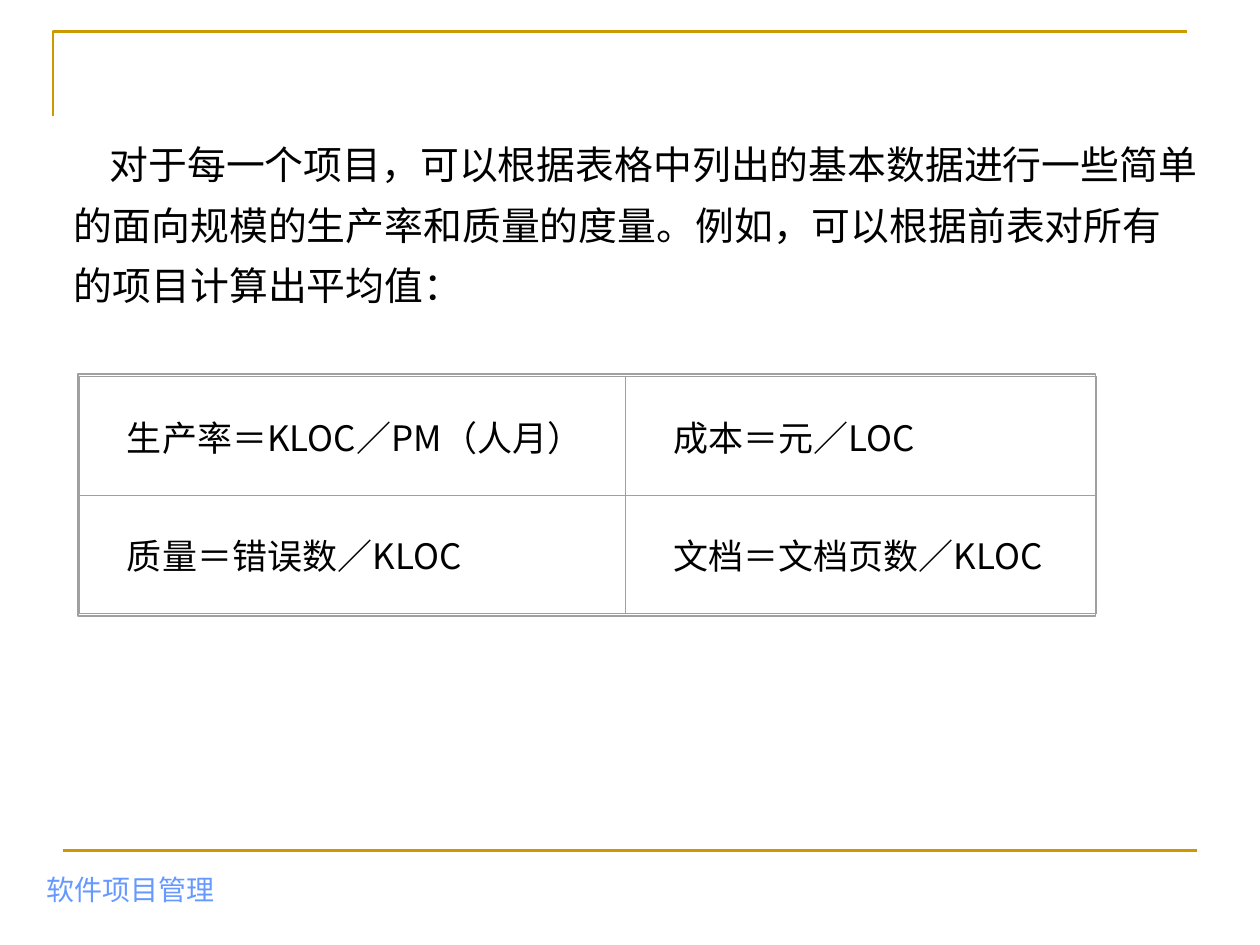
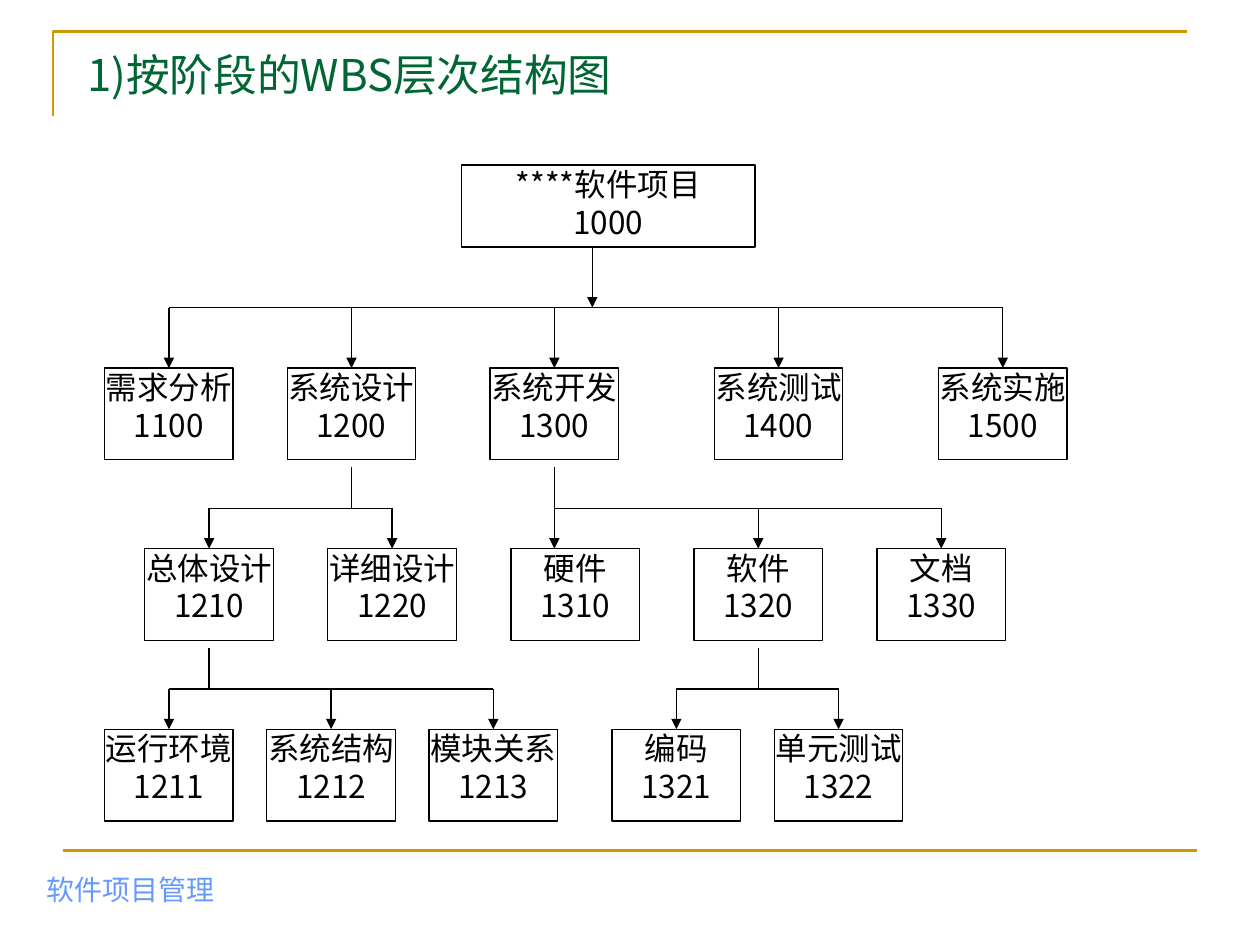
from pptx import Presentation
from pptx.dml.color import RGBColor
from pptx.enum.shapes import MSO_CONNECTOR as Link, MSO_SHAPE as Preset
from pptx.enum.text import MSO_ANCHOR as Anchor, MSO_AUTO_SIZE as AutoSize, PP_ALIGN as Align
from pptx.oxml import parse_xml
from pptx.oxml.ns import nsdecls, qn
from pptx.util import Cm, Pt

COLOURS = {"gold": "CC9900", "footer": "6699FF", "title": "006633",
           "ink": "000000", "paper": "FFFFFF", "grid": "A0A0A0"}
RGB = {name: RGBColor.from_string(value) for name, value in COLOURS.items()}
SANS, SERIF = "Noto Sans CJK SC", "Times New Roman"


def style(frame, size, colour="ink", font=SANS):
    for paragraph in frame.paragraphs:
        for run in paragraph.runs:
            run.font.size = Pt(size)
            run.font.color.rgb = RGB[colour]
            run.font.name = font
            east_asian = run.font._element.get_or_add_latin()
            east_asian.addnext(parse_xml(f'<a:ea {nsdecls("a")} typeface="{SANS}"/>'))


def add_line(slide, x1, y1, x2, y2, colour="ink", width=0.75, arrow=False):
    line = slide.shapes.add_connector(Link.STRAIGHT, Cm(x1), Cm(y1), Cm(x2), Cm(y2))
    line.line.color.rgb = RGB[colour]
    line.line.width = Pt(width)
    if arrow:
        line.line._get_or_add_ln().append(
            parse_xml(f'<a:tailEnd {nsdecls("a")} type="triangle"/>'))
    line._element.spPr.append(parse_xml(f'<a:effectLst {nsdecls("a")}/>'))
    return line


prs = Presentation()
prs.slide_width, prs.slide_height = Cm(25.4), Cm(19.05)
metrics = prs.slides.add_slide(prs.slide_layouts[6])
wbs = prs.slides.add_slide(prs.slide_layouts[5])

# Shared corner, bottom rule and footer
for slide in (metrics, wbs):
    outline = slide.shapes.build_freeform(Cm(1.07), Cm(2.34))
    outline.add_line_segments([(Cm(1.07), Cm(0.64)), (Cm(23.93), Cm(0.64))], close=False)
    corner = outline.convert_to_shape()
    corner.shadow.inherit = False
    corner.fill.background()
    corner.line.color.rgb = RGB["gold"]
    corner.line.width = Pt(1.5)

    add_line(slide, 1.27, 17.15, 24.13, 17.15, "gold", 1.5)

    footer = slide.shapes.add_textbox(Cm(0.69), Cm(17.12), Cm(10), Cm(1.27)).text_frame
    footer.word_wrap = True
    footer.vertical_anchor = Anchor.BOTTOM
    footer.text = "软件项目管理"
    style(footer, 16, "footer", SERIF)

# Slide 1: introduction
intro = metrics.shapes.add_textbox(Cm(1.24), Cm(2.27), Cm(23.16), Cm(4.24)).text_frame
intro.word_wrap = True
intro.vertical_anchor = Anchor.MIDDLE
intro.text = ("对于每一个项目，可以根据表格中列出的基本数据进行一些简单的面向规模的生产率和质量的度量。"
              "例如，可以根据前表对所有的项目计算出平均值：")
intro.paragraphs[0].line_spacing = 1.3
intro.paragraphs[0]._p.get_or_add_pPr().set("indent", str(Cm(0.72)))
style(intro, 22.2)

# Slide 1: formulas with a surrounding frame
FORMULAS = [["生产率＝KLOC／PM（人月）", "成本＝元／LOC"],
            ["质量＝错误数／KLOC", "文档＝文档页数／KLOC"]]
formulas = metrics.shapes.add_table(2, 2, Cm(1.6), Cm(7.59), Cm(20.51), Cm(4.78)).table
formulas.first_row = formulas.horz_banding = False
for column, width in zip(formulas.columns, (11.01, 9.5)):
    column.width = Cm(width)
for r, row in enumerate(FORMULAS):
    formulas.rows[r].height = Cm(2.39)
    for c, formula in enumerate(row):
        cell = formulas.cell(r, c)
        cell.text = formula
        cell.vertical_anchor = Anchor.MIDDLE
        cell.fill.background()
        cell.text_frame.paragraphs[0]._p.get_or_add_pPr().set("indent", str(Pt(20)))
        style(cell.text_frame, 20)
        for i, side in enumerate(("lnL", "lnR", "lnT", "lnB")):
            cell._tc.tcPr.insert(i, parse_xml(
                f'<a:{side} {nsdecls("a")} w="{Pt(0.5)}"><a:solidFill>'
                f'<a:srgbClr val="{COLOURS["grid"]}"/></a:solidFill></a:{side}>'))

frame = metrics.shapes.add_shape(Preset.RECTANGLE, Cm(1.57), Cm(7.54), Cm(20.52), Cm(4.88))
frame.shadow.inherit = False
frame.fill.background()
frame.line.color.rgb = RGB["grid"]
frame.line.width = Pt(0.88)

# Slide 2: title
title = wbs.shapes.title
title.left, title.top, title.width, title.height = Cm(1.5), Cm(1), Cm(18.8), Cm(1)
title.text_frame.text = "1)按阶段的WBS层次结构图"
title.text_frame.auto_size = AutoSize.NONE
title.text_frame.vertical_anchor = Anchor.MIDDLE
title.text_frame.paragraphs[0].alignment = Align.LEFT
style(title.text_frame, 25, "title")

# Slide 2: work packages as code, name, left and top
BOX_W, BOX_H = 2.59, 1.85
PHASE_TOP, LEVEL_STEP = 7.42, 3.64
LEVELS = [
    [("1100", "需求分析", 2.11), ("1200", "系统设计", 5.79), ("1300", "系统开发", 9.88),
     ("1400", "系统测试", 14.4), ("1500", "系统实施", 18.92)],
    [("1210", "总体设计", 2.92), ("1220", "详细设计", 6.61), ("1310", "硬件", 10.3),
     ("1320", "软件", 13.99), ("1330", "文档", 17.68)],
    [("1211", "运行环境", 2.11), ("1212", "系统结构", 5.38), ("1213", "模块关系", 8.65),
     ("1321", "编码", 12.34), ("1322", "单元测试", 15.61)],
]
packages = [("1000", "****软件项目", 9.3, 3.33, 5.92, 1.65)]
for depth, level in enumerate(LEVELS):
    top = PHASE_TOP + depth * LEVEL_STEP
    packages += [(code, name, left, top, BOX_W, BOX_H) for code, name, left in level]

boxes, centres, tops = {}, {}, {}
for code, name, left, top, width, height in packages:
    box = wbs.shapes.add_shape(Preset.RECTANGLE, Cm(left), Cm(top), Cm(width), Cm(height))
    box.shadow.inherit = False
    box.fill.solid()
    box.fill.fore_color.rgb = RGB["paper"]
    box.line.color.rgb = RGB["ink"]
    box.line.width = Pt(0.75)
    label = box.text_frame
    label.margin_left = label.margin_right = label.margin_top = label.margin_bottom = 0
    label.vertical_anchor = Anchor.TOP
    label.text = f"{name}\n{code}"
    for paragraph in label.paragraphs:
        paragraph.alignment = Align.CENTER
    style(label, 18)
    boxes[code], centres[code], tops[code] = box, left + width / 2, top

# Slide 2: trunk, bus and drops below each parent
BRANCHES = {"1000": ["1100", "1200", "1300", "1400", "1500"],
            "1200": ["1210", "1220"],
            "1300": ["1310", "1320", "1330"],
            "1210": ["1211", "1212", "1213"],
            "1320": ["1321", "1322"]}
for parent, children in BRANCHES.items():
    is_root = parent == "1000"
    trunk_x = 11.94 if is_root else centres[parent]
    trunk_top = 4.98 if is_root else tops[parent] + BOX_H + 0.15
    bus_y = tops[children[0]] - (1.22 if is_root else 0.81)
    # The hardware drop continues straight down from its parent's trunk
    drops = {child: trunk_x if child == "1310" else centres[child] for child in children}
    add_line(wbs, trunk_x, trunk_top, trunk_x, bus_y, arrow=is_root)
    add_line(wbs, min(drops.values()), bus_y, max(drops.values()), bus_y)
    for child, x in drops.items():
        drop = add_line(wbs, x, bus_y, x, tops[child], arrow=True)
        if x == centres[child]:
            drop.end_connect(boxes[child], 0)

prs.save("out.pptx")
